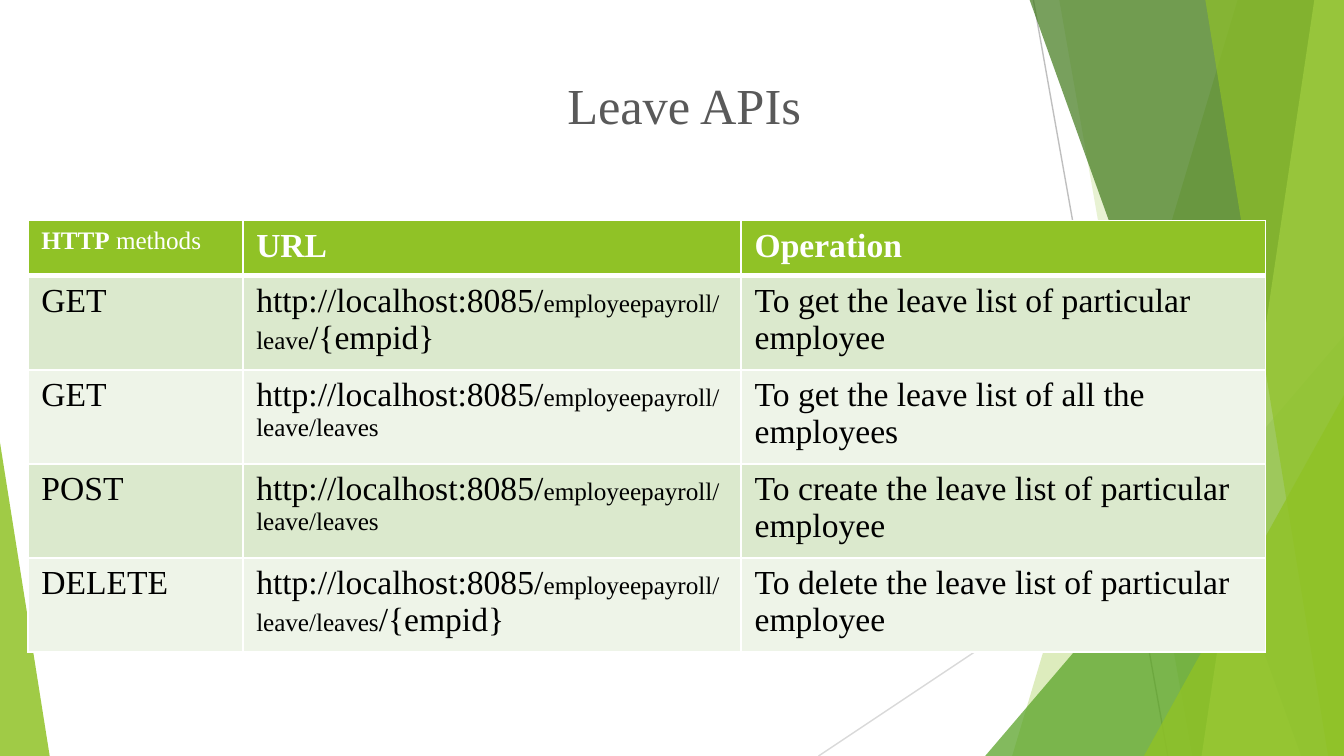
"""Build the Leave APIs slide: a table of endpoints over green facets."""
from lxml.etree import SubElement
from pptx import Presentation
from pptx.dml.color import RGBColor
from pptx.enum.shapes import MSO_CONNECTOR as Connector, MSO_SHAPE as Shape
from pptx.enum.text import MSO_ANCHOR as Anchor, PP_ALIGN as Align
from pptx.oxml.ns import qn
from pptx.util import Cm, Pt

FONT = "Times New Roman"
GREEN, WHITE, BLACK = "90C226", "FFFFFF", "000000"
BANDS = ["DBE9CD", "EEF4E8"]
WIDTH, HEIGHT = 25.4, 14.29
LARGE, SMALL = 18, 13.5
HOST = ("http://localhost:8085/", LARGE, False)
EMPLOYEE_ID = ("/{empid}", LARGE, False)


def plain(text, bold=False):
    """Return cell content of one large run."""
    return [(text, LARGE, bold)]


def small(text, bold=False):
    """Return one small run."""
    return (text, SMALL, bold)


HEADINGS = [
    [small("HTTP", True), small(" methods")],
    plain("URL", True),
    plain("Operation", True),
]
ENDPOINTS = [
    [plain("GET"), [HOST, small("employeepayroll/leave"), EMPLOYEE_ID],
     plain("To get the leave list of particular employee")],
    [plain("GET"), [HOST, small("employeepayroll/leave/leaves")],
     plain("To get the leave list of all the employees")],
    [plain("POST"), [HOST, small("employeepayroll/leave/leaves")],
     plain("To create the leave list of particular employee")],
    [plain("DELETE"), [HOST, small("employeepayroll/leave/leaves"), EMPLOYEE_ID],
     plain("To delete the leave list of particular employee")],
]


def paint(target, color):
    """Give a fill or line format a solid colour."""
    target.solid()
    target.fore_color.rgb = RGBColor.from_string(color)


def glaze(shape, color, opacity):
    """Fill a shape with a translucent colour, without outline or shadow."""
    shape.shadow.inherit = False
    shape.line.fill.background()
    paint(shape.fill, color)
    tint = next(shape.fill._xPr.iter(qn("a:srgbClr")))
    SubElement(tint, qn("a:alpha"), val=str(opacity * 1000))


def add_ray(slide, start, end, color):
    """Draw a thin straight line."""
    ray = slide.shapes.add_connector(
        Connector.STRAIGHT, *[Cm(value) for value in (*start, *end)])
    ray.line.width = Pt(0.75)
    paint(ray.line.fill, color)
    SubElement(ray._element.spPr, qn("a:effectLst"))


def add_facet(slide, top_x, bottom_x, color, opacity):
    """Draw a full-height facet from a slanted left edge to the slide's right edge."""
    corners = [(WIDTH, 0), (WIDTH, HEIGHT), (bottom_x, HEIGHT)]
    outline = slide.shapes.build_freeform(Cm(top_x), Cm(0))
    outline.add_line_segments([(Cm(x), Cm(y)) for x, y in corners], close=True)
    glaze(outline.convert_to_shape(), color, opacity)


def add_corner(slide, left, width, height, apex, color, opacity):
    """Draw a triangle standing on the slide's bottom edge."""
    corner = slide.shapes.add_shape(
        Shape.ISOSCELES_TRIANGLE, Cm(left), Cm(HEIGHT - height), Cm(width), Cm(height))
    corner.adjustments[0] = apex
    glaze(corner, color, opacity)


def add_backdrop(slide):
    """Draw the rays and green facets behind the content."""
    add_ray(slide, (19.53, 0), (22.07, HEIGHT), "BFBFBF")
    add_ray(slide, (WIDTH, 7.67), (15.47, HEIGHT), "D9D9D9")
    add_facet(slide, 23.39, 19.13, GREEN, 30)
    add_facet(slide, 20.02, 22.53, GREEN, 20)
    add_corner(slide, 18.62, 6.78, 7.94, 1, "54A021", 72)
    add_facet(slide, 19.46, 24.59, "3F7819", 70)
    add_facet(slide, 24.84, 22.71, "C0E474", 70)
    add_facet(slide, 22.78, 25.1, GREEN, 65)
    add_corner(slide, 21.62, 3.78, 6.82, 1, GREEN, 80)
    add_corner(slide, 0, 0.94, 5.93, 0, GREEN, 85)


def add_title(slide, text):
    """Add the centred slide title."""
    frame = slide.shapes.add_textbox(Cm(1.68), Cm(1.17), Cm(22.5), Cm(1.6)).text_frame
    frame.word_wrap = True
    frame.vertical_anchor = Anchor.MIDDLE
    frame.margin_left = frame.margin_right = Cm(0.25)
    frame.margin_top = frame.margin_bottom = Cm(0.25)
    title = frame.paragraphs[0]
    title.text = text
    title.alignment = Align.CENTER
    title.font.name, title.font.size = FONT, Pt(27)
    title.font.color.rgb = RGBColor.from_string("595959")


def set_borders(cell, **widths):
    """Give the cell white borders, one point wide unless a side says otherwise."""
    properties = cell._tc.get_or_add_tcPr()
    for side in "LRTB":
        border = SubElement(
            properties, qn(f"a:ln{side}"), w=str(Pt(widths.get(side, 1))))
        SubElement(SubElement(border, qn("a:solidFill")), qn("a:srgbClr"), val=WHITE)


def write_cell(cell, content, color):
    """Write runs of (text, size, bold) into a cell."""
    paragraph = cell.text_frame.paragraphs[0]
    paragraph.font.name = FONT
    paragraph.font.color.rgb = RGBColor.from_string(color)
    for text, size, bold in content:
        run = paragraph.add_run()
        run.text = text
        run.font.size, run.font.bold = Pt(size), bold


def add_endpoint_table(slide):
    """Add the table of leave endpoints."""
    rows = [HEADINGS, *ENDPOINTS]
    widths = [4.06, 9.42, 9.91]
    table = slide.shapes.add_table(
        len(rows), len(widths), Cm(0.53), Cm(4.17),
        Cm(sum(widths)), Cm(1.04 * len(rows))).table
    for column, width in zip(table.columns, widths):
        column.width = Cm(width)
    for row_index, row in enumerate(rows):
        heading = row_index == 0
        fill = GREEN if heading else BANDS[(row_index - 1) % 2]
        for column_index, content in enumerate(row):
            cell = table.cell(row_index, column_index)
            set_borders(cell, T=3 if row_index == 1 else 1, B=3 if heading else 1)
            paint(cell.fill, fill)
            write_cell(cell, content, WHITE if heading else BLACK)


def main():
    """Build and save the slide."""
    deck = Presentation()
    deck.slide_width, deck.slide_height = Cm(WIDTH), Cm(HEIGHT)
    slide = deck.slides.add_slide(deck.slide_layouts[6])
    add_backdrop(slide)
    add_title(slide, "Leave APIs")
    add_endpoint_table(slide)
    deck.save("out.pptx")


if __name__ == "__main__":
    main()
